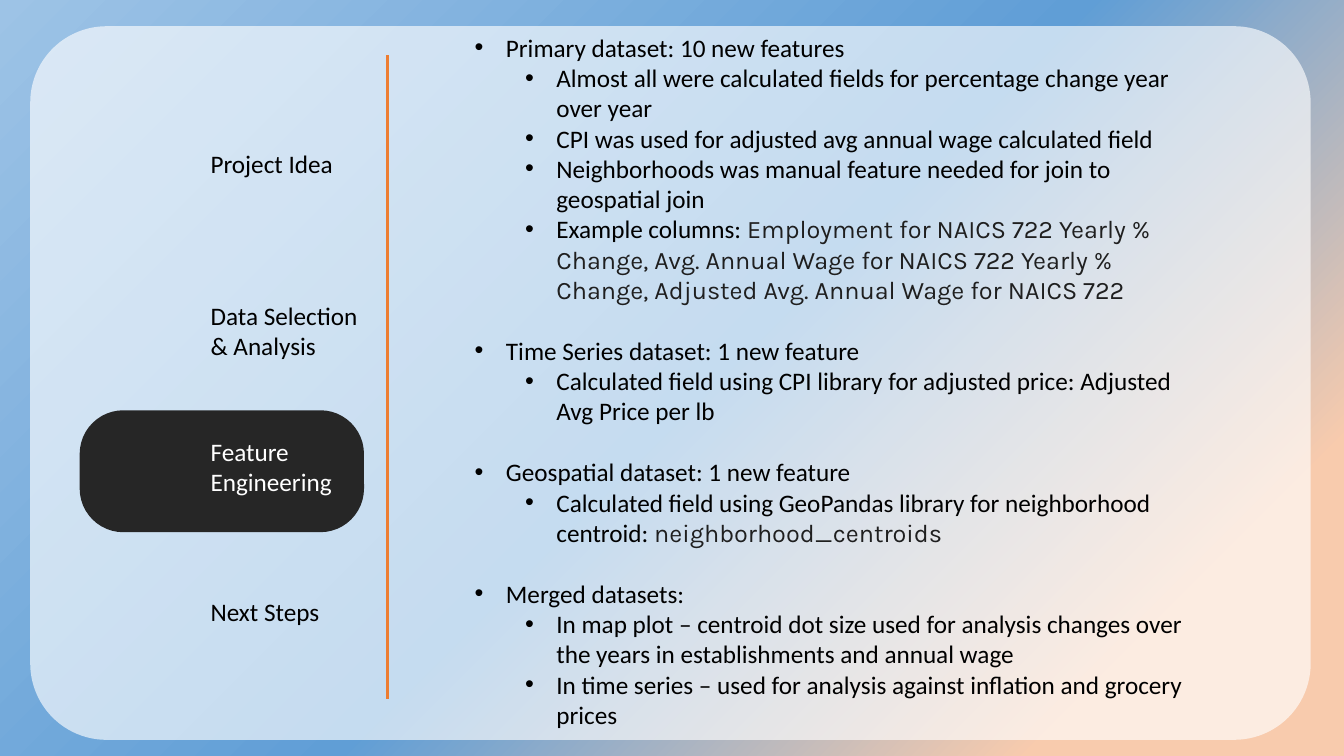
from lxml import etree
from pptx import Presentation
from pptx.dml.color import RGBColor
from pptx.enum.shapes import MSO_CONNECTOR, MSO_SHAPE
from pptx.enum.text import MSO_AUTO_SIZE
from pptx.oxml.ns import qn
from pptx.util import Inches, Pt

ROUNDED = MSO_SHAPE.ROUNDED_RECTANGLE
STRAIGHT = MSO_CONNECTOR.STRAIGHT
GROW = MSO_AUTO_SIZE.SHAPE_TO_FIT_TEXT

COLORS = {
    "peach": "F8CBAD", "blue": "609ED6", "sky": "9DC3E6", "white": "FFFFFF",
    "dark": "262626", "black": "000000", "column": "1F1F1F", "orange": "ED7D31",
}
BODY_FONT, COLUMN_FONT = "Calibri", "Karla"

# Navigation entries: label, top, width, height, colour
STEPS = [
    ("Project Idea", 1.42, 1.62, 0.4, "black"),
    ("Data Selection & Analysis", 2.93, 1.71, 0.71, "black"),
    ("Feature Engineering", 4.28, 1.71, 0.71, "white"),
    ("Next Steps", 5.87, 1.71, 0.4, "black"),
]

# Each section: heading, then points as (text, column names)
SECTIONS = [
    ("Primary dataset: 10 new features", [
        ("Almost all were calculated fields for percentage change year over year", ""),
        ("CPI was used for adjusted avg annual wage calculated field", ""),
        ("Neighborhoods was manual feature needed for join to geospatial join", ""),
        ("Example columns: ",
         "Employment for NAICS 722 Yearly % Change, "
         "Avg. Annual Wage for NAICS 722 Yearly % Change, "
         "Adjusted Avg. Annual Wage for NAICS 722"),
    ]),
    ("Time Series dataset: 1 new feature", [
        ("Calculated field using CPI library for adjusted price: "
         "Adjusted Avg Price per lb", ""),
    ]),
    ("Geospatial dataset: 1 new feature", [
        ("Calculated field using GeoPandas library for neighborhood centroid: ",
         "neighborhood_centroids"),
    ]),
    ("Merged datasets:", [
        ("In map plot – centroid dot size used for analysis changes over the years "
         "in establishments and annual wage", ""),
        ("In time series – used for analysis against inflation and grocery prices", ""),
    ]),
]


def rgb(name):
    return RGBColor.from_string(COLORS[name])


class SlideBuilder:
    def __init__(self, s, size=18):
        self.s = s
        self.size = Pt(size)

    def background(self, stops, angle):
        """Fill the background with (percent, colour) stops; angle is counter-clockwise."""
        fill = self.s.background.fill
        fill.gradient()
        fill.gradient_angle = angle
        stop_list = next(self.s.element.iter(qn("a:gsLst")))
        for stop in list(stop_list):
            stop_list.remove(stop)
        for percent, color in stops:
            stop = etree.SubElement(stop_list, qn("a:gs"), pos=str(percent * 1000))
            etree.SubElement(stop, qn("a:srgbClr"), val=COLORS[color])

    def panel(self, left, top, width, height, radius, color, opacity=100):
        sp = self.s.shapes.add_shape(
            ROUNDED, Inches(left), Inches(top), Inches(width), Inches(height))
        sp.adjustments[0] = radius
        sp.shadow.inherit = False
        sp.line.fill.background()
        sp.fill.solid()
        sp.fill.fore_color.rgb = rgb(color)
        if opacity < 100:
            value = sp.element.spPr.find(qn("a:solidFill"))[0]
            etree.SubElement(value, qn("a:alpha"), val=str(opacity * 1000))

    def line(self, x1, y1, x2, y2, color, width):
        line = self.s.shapes.add_connector(
            STRAIGHT, Inches(x1), Inches(y1), Inches(x2), Inches(y2))
        line.line.color.rgb = rgb(color)
        line.line.width = Pt(width)
        etree.SubElement(line.element.spPr, qn("a:effectLst"))

    def text_box(self, left, top, width, height):
        sp = self.s.shapes.add_textbox(
            Inches(left), Inches(top), Inches(width), Inches(height))
        tf = sp.text_frame
        tf.word_wrap = True
        tf.auto_size = GROW
        return tf

    def run(self, p, text, color="black", font=BODY_FONT):
        r = p.add_run()
        r.text = text
        r.font.size = self.size
        r.font.name = font
        r.font.color.rgb = rgb(color)

    def label(self, text, left, top, width, height, color):
        tf = self.text_box(left, top, width, height)
        self.run(tf.paragraphs[0], text, color)

    def bullet(self, p, level):
        p.level = level
        pPr = p._p.get_or_add_pPr()
        pPr.set("marL", str(Inches(0.31 + 0.5 * level)))
        pPr.set("indent", str(Inches(-0.31)))
        etree.SubElement(pPr, qn("a:buFont"), typeface="Arial")
        etree.SubElement(pPr, qn("a:buChar"), char="•")

    def outline(self, sections, left, top, width, height):
        """Write headings with their points, one blank line's height between sections."""
        tf = self.text_box(left, top, width, height)
        for i, (heading, points) in enumerate(sections):
            p = tf.add_paragraph() if i else tf.paragraphs[0]
            self.bullet(p, 0)
            if i:
                p.space_before = Pt(22)
            self.run(p, heading)
            for text, columns in points:
                p = tf.add_paragraph()
                self.bullet(p, 1)
                self.run(p, text)
                if columns:
                    self.run(p, columns, "column", COLUMN_FONT)


def main():
    prs = Presentation()
    prs.slide_width, prs.slide_height = Inches(13.33), Inches(7.5)
    blank = prs.slide_layouts[6]
    slide = SlideBuilder(prs.slides.add_slide(blank))

    slide.background([(15, "peach"), (48, "blue"), (100, "sky")], 135)
    slide.panel(0.3, 0.26, 12.7, 7.08, 0.107, "white", opacity=64)
    slide.panel(0.79, 4.07, 2.82, 1.21, 0.358, "dark")
    for text, top, width, height, color in STEPS:
        slide.label(text, 1.99, top, width, height, color)
    slide.line(3.84, 0.55, 3.84, 6.93, "orange", 2.25)
    slide.outline(SECTIONS, 4.61, 0.27, 7.45, 7.07)

    prs.save("out.pptx")


if __name__ == "__main__":
    main()
